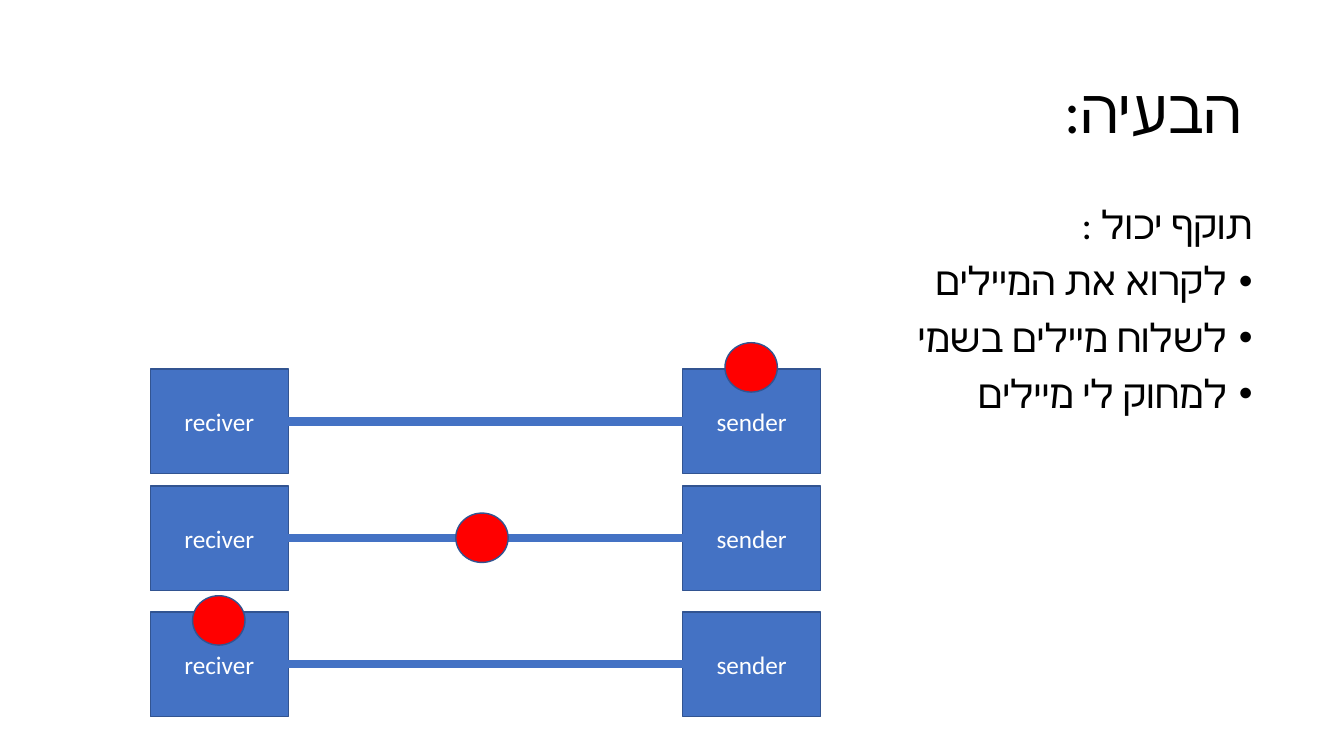
from lxml import etree
from pptx import Presentation
from pptx import util as u
from pptx.dml.color import RGBColor
from pptx.enum import shapes, text
from pptx.oxml.ns import qn

HUES = {"ink": "000000", "paper": "FFFFFF", "box": "4472C4",
        "edge": "325491", "spy": "FF0000"}
FONT = "Calibri"
WIDE, HIGH = 13.33, 7.5
COLS = {"reciver": 1.49, "sender": 6.77}
ROWS = [3.66, 4.82, 6.07]
BOX = (1.37, 1.04)
SPY = (0.52, 0.49)
SPOTS = [(7.19, 3.4), (4.52, 5.09), (1.91, 5.91)]
ITEMS = ["לקרוא את המיילים ", "לשלוח מיילים בשמי", "למחוק לי מיילים"]


def hue(name):
    return RGBColor.from_string(HUES[name])


def style(para, size, tint, align):
    para.alignment = align
    para.font.size = u.Pt(size)
    para.font.name = FONT
    para.font.color.rgb = hue(tint)
    props = para._p.get_or_add_pPr()
    props.set("rtl", "1")
    script = etree.SubElement(props.find(qn("a:defRPr")), qn("a:cs"))
    script.set("typeface", FONT)


def bullet(para):
    props = para._p.get_or_add_pPr()
    props.set("marL", str(u.Inches(0.25)))
    props.set("indent", str(-u.Inches(0.25)))
    etree.SubElement(props, qn("a:buFont")).set("typeface", "Arial")
    etree.SubElement(props, qn("a:buChar")).set("char", "•")


def place(item, *spot):
    item.left, item.top, item.width, item.height = map(u.Inches, spot)


def head(slide, words):
    title = slide.shapes.title
    place(title, 0.92, 0.4, 11.5, 1.45)
    frame = title.text_frame
    frame.text = words
    frame.vertical_anchor = text.MSO_ANCHOR.MIDDLE
    para = frame.paragraphs[0]
    style(para, 44, "ink", text.PP_ALIGN.RIGHT)
    para.line_spacing = 0.9


def points(slide, lead, items):
    area = slide.shapes.add_textbox(*map(u.Inches, (1.02, 1.99, 11.5, 4.76)))
    frame = area.text_frame
    frame.word_wrap = True
    for rank, words in enumerate([lead, *items]):
        para = frame.add_paragraph() if rank else frame.paragraphs[0]
        para.text = words
        if rank:
            bullet(para)
        style(para, 28, "ink", text.PP_ALIGN.RIGHT)
        para.line_spacing = 0.9
        para.space_before = u.Pt(10)


def solid(slide, kind, spot, size, fill):
    item = slide.shapes.add_shape(kind, *map(u.Inches, spot + size))
    item.shadow.inherit = False
    item.fill.solid()
    item.fill.fore_color.rgb = hue(fill)
    item.line.color.rgb = hue("edge")
    item.line.width = u.Pt(1)
    return item


def node(slide, name, top):
    item = solid(slide, shapes.MSO_SHAPE.RECTANGLE, (COLS[name], top), BOX, "box")
    frame = item.text_frame
    frame.text = name
    frame.vertical_anchor = text.MSO_ANCHOR.MIDDLE
    style(frame.paragraphs[0], 18, "paper", text.PP_ALIGN.CENTER)
    return item


def link(slide, start, end):
    wire = slide.shapes.add_connector(shapes.MSO_CONNECTOR.STRAIGHT, 0, 0, 0, 0)
    wire.begin_connect(start, 3)
    wire.end_connect(end, 1)
    wire.line.color.rgb = hue("box")
    wire.line.width = u.Pt(6)
    etree.SubElement(wire._element.spPr, qn("a:effectLst"))


def main():
    deck = Presentation()
    deck.slide_width, deck.slide_height = u.Inches(WIDE), u.Inches(HIGH)
    slide = deck.slides.add_slide(deck.slide_layouts[5])
    head(slide, "הבעיה:")
    points(slide, "תוקף יכול :", ITEMS)
    for top, spot in zip(ROWS, SPOTS):
        sender = node(slide, "sender", top)
        link(slide, node(slide, "reciver", top), sender)
        solid(slide, shapes.MSO_SHAPE.OVAL, spot, SPY, "spy")
    deck.save("out.pptx")


if __name__ == "__main__":
    main()
